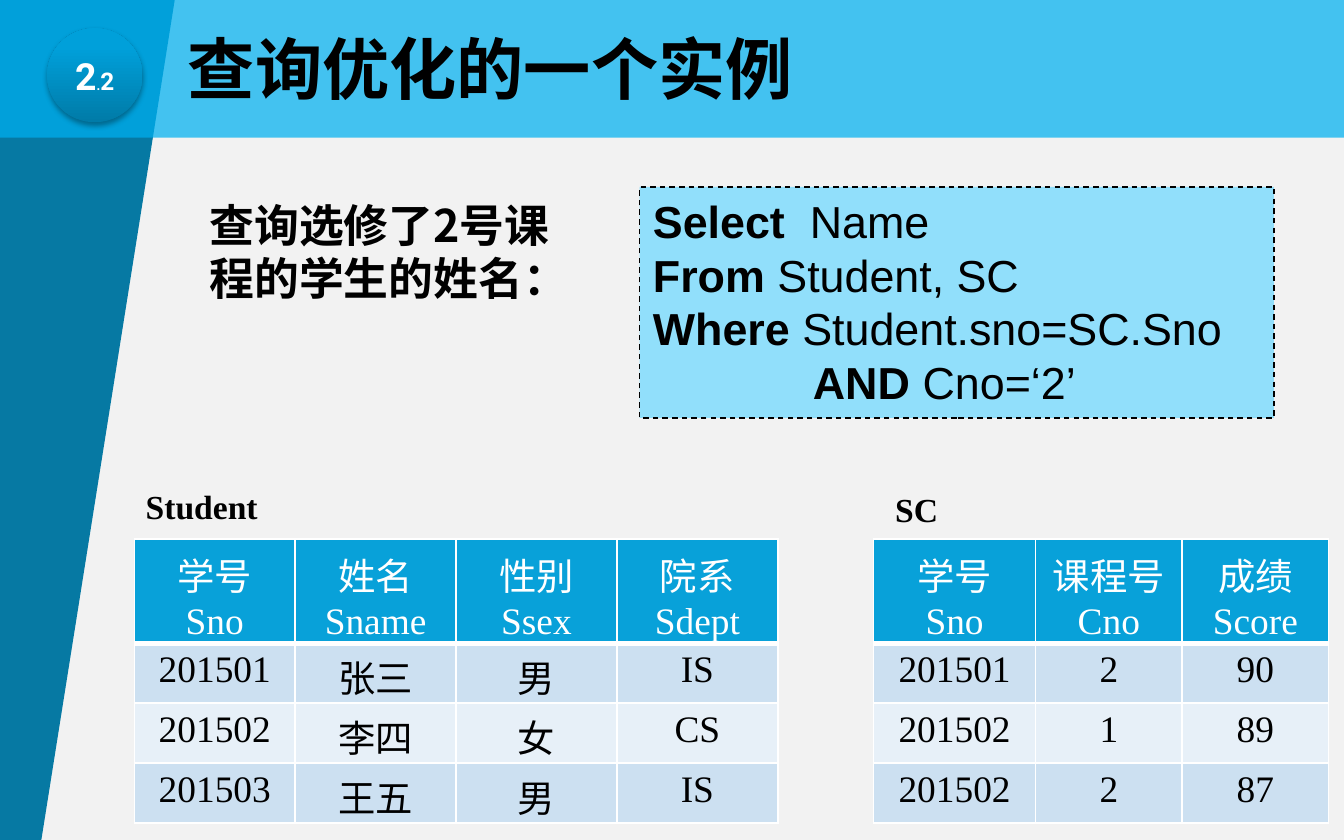
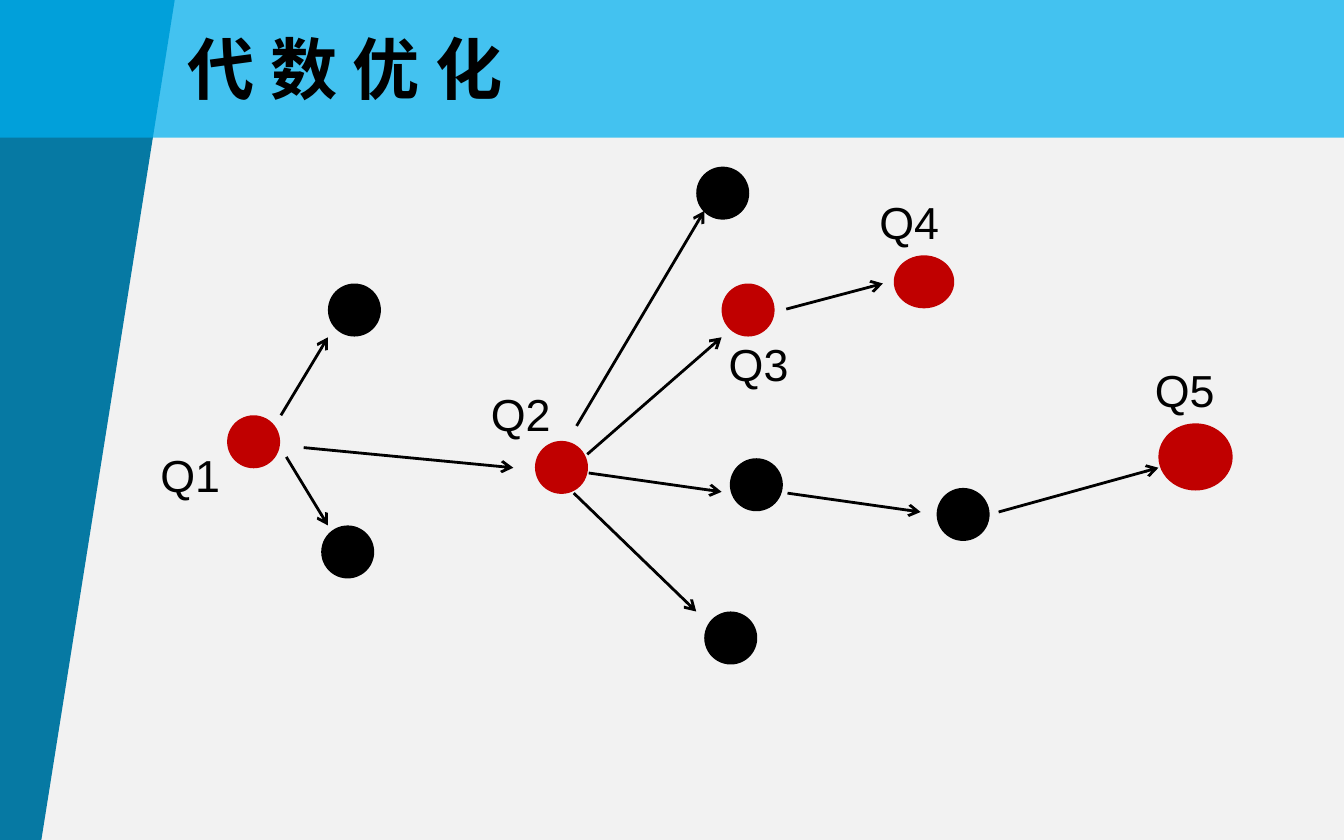
import copy
from dataclasses import dataclass

import lxml.etree
import pptx
import pptx.dml.color
import pptx.enum.dml
import pptx.enum.shapes
import pptx.enum.text
import pptx.oxml.ns
import pptx.util

Pt = pptx.util.Pt
qn = pptx.oxml.ns.qn
SHAPES = pptx.enum.shapes.MSO_SHAPE
ALIGN = pptx.enum.text.PP_ALIGN
ANCHOR = pptx.enum.text.MSO_ANCHOR

COLORS = {
    "background": "F2F2F2", "side": "0679A3", "band": "00B0F0",
    "black": "000000", "white": "FFFFFF", "red": "C00000",
    "code": "91DFFB", "header": "08A1D9", "row_dark": "CCE0F1", "row_light": "E7F0F8",
    "badge_dark": "007BA8", "badge_mid": "00A0DA", "badge_light": "00A0DB",
}
CJK_FONT = "Noto Sans CJK SC"
SERIF = "Times New Roman"


@dataclass
class Run:
    text: str
    bold: bool | None = None
    size: float | None = None


@dataclass
class Box:
    left: float
    top: float
    width: float
    height: float

    def lengths(self) -> list:
        return [Pt(value) for value in (self.left, self.top, self.width, self.height)]


@dataclass
class Node:
    left: float
    top: float
    color: str = "black"
    width: float = 28.4
    height: float = 28.4


@dataclass
class Arrow:
    start: tuple[float, float]
    end: tuple[float, float]


@dataclass
class Label:
    text: str
    left: float
    top: float


@dataclass
class Relation:
    name: str
    name_box: Box
    left: float
    columns: list[float]
    rows: list[list[str]]


def rgb(name: str):
    return pptx.dml.color.RGBColor.from_string(COLORS[name])


# Text
def write(frame, text, *, size=24, font="Arial", color="black", bold=False,
          align=None, anchor=ANCHOR.TOP, wrap=True):
    """Fill a frame; text is a string or a list of lines, each a list of runs."""
    frame.word_wrap = wrap
    frame.vertical_anchor = anchor
    lines = [[Run(line)] for line in text.split("\n")] if isinstance(text, str) else text
    for index, runs in enumerate(lines):
        paragraph = frame.add_paragraph() if index else frame.paragraphs[0]
        paragraph.alignment = align
        for item in runs:
            run = paragraph.add_run()
            run.text = item.text
            run.font.name = font
            run.font.size = Pt(item.size or size)
            run.font.bold = bold if item.bold is None else item.bold
            run.font.color.rgb = rgb(color)
            east_asian = lxml.etree.Element(qn("a:ea"), typeface=CJK_FONT)
            run.font._element.find(qn("a:latin")).addnext(east_asian)


def add_text(slide, box: Box, text, **text_format):
    write(slide.shapes.add_textbox(*box.lengths()).text_frame, text, **text_format)


# Shapes
def add_shape(slide, kind, box: Box, color: str):
    shape = slide.shapes.add_shape(kind, *box.lengths())
    shape.shadow.inherit = False
    shape.fill.solid()
    shape.fill.fore_color.rgb = rgb(color)
    shape.line.fill.background()
    return shape


def add_alpha(color_element, percent: int):
    lxml.etree.SubElement(color_element, qn("a:alpha"), val=str(percent * 1000))


def add_arrow(slide, arrow: Arrow):
    points = [Pt(value) for value in (*arrow.start, *arrow.end)]
    connector = slide.shapes.add_connector(pptx.enum.shapes.MSO_CONNECTOR.STRAIGHT, *points)
    connector.line.width = Pt(1.5)
    connector.line.color.rgb = rgb("black")
    properties = connector._element.spPr
    lxml.etree.SubElement(properties.find(qn("a:ln")), qn("a:tailEnd"), type="arrow")
    lxml.etree.SubElement(properties, qn("a:effectLst"))


def add_badge(slide):
    badge = add_shape(slide, SHAPES.OVAL, Box(25.2, 15.1, 51.1, 50.4), "badge_dark")
    badge.fill.gradient()
    badge.fill.gradient_angle = 90
    stop_list = badge._element.spPr.find(".//" + qn("a:gsLst"))
    stop_list.append(copy.deepcopy(stop_list[0]))
    stops = ((0, "badge_dark"), (0.8, "badge_mid"), (1, "badge_light"))
    for stop, (position, color) in zip(badge.fill.gradient_stops, stops):
        stop.position = position
        stop.color.rgb = rgb(color)
    # Soft shadow below the badge
    effects = badge._element.spPr.find(qn("a:effectLst"))
    shadow = lxml.etree.SubElement(
        effects, qn("a:outerShdw"), blurRad=str(Pt(3.1)), dist=str(Pt(1.8)),
        dir="5400000", algn="t", rotWithShape="0")
    add_alpha(lxml.etree.SubElement(shadow, qn("a:srgbClr"), val=COLORS["black"]), 35)
    write(badge.text_frame, [[Run("2"), Run(".", size=7), Run("2", size=13)]],
          size=20, font="Roboto", color="white", bold=True,
          align=ALIGN.CENTER, anchor=ANCHOR.MIDDLE)


# Tables
def set_borders(cell, bottom: float):
    properties = cell._tc.get_or_add_tcPr()
    for side, width in (("L", 1), ("R", 1), ("T", 1), ("B", bottom)):
        line = lxml.etree.SubElement(properties, qn(f"a:ln{side}"), w=str(Pt(width)))
        fill = lxml.etree.SubElement(line, qn("a:solidFill"))
        lxml.etree.SubElement(fill, qn("a:srgbClr"), val=COLORS["white"])


def add_relation(slide, relation: Relation):
    add_text(slide, relation.name_box, relation.name, size=18, font=SERIF, bold=True,
             align=ALIGN.CENTER, wrap=False)
    heights = [55.9] + [32.1] * (len(relation.rows) - 1)
    box = Box(relation.left, 288.7, sum(relation.columns), sum(heights))
    table = slide.shapes.add_table(len(heights), len(relation.columns), *box.lengths()).table
    for column, width in zip(table.columns, relation.columns):
        column.width = Pt(width)
    for row_index, values in enumerate(relation.rows):
        header = row_index == 0
        table.rows[row_index].height = Pt(heights[row_index])
        fill = "header" if header else ("row_dark" if row_index % 2 else "row_light")
        for column_index, value in enumerate(values):
            cell = table.cell(row_index, column_index)
            set_borders(cell, bottom=3 if header else 1)
            cell.fill.solid()
            cell.fill.fore_color.rgb = rgb(fill)
            cell.margin_left = cell.margin_right = Pt(7.2)
            cell.margin_top = Pt(4.3 if header else 3.1)
            cell.margin_bottom = Pt(0)
            write(cell.text_frame, value, size=20, font=SERIF,
                  color="white" if header else "black", align=ALIGN.CENTER)


# Shared frame: background, slanted side, title band and title
def new_slide(presentation, title: str, title_width: float):
    slide = presentation.slides.add_slide(presentation.slide_layouts[6])
    slide.background.fill.solid()
    slide.background.fill.fore_color.rgb = rgb("background")
    builder = slide.shapes.build_freeform(Pt(-0.7), Pt(453), scale=1.0)
    builder.add_line_segments(
        [(Pt(x), Pt(y)) for x, y in ((0, -0.7), (93.6, 0), (21.6, 453.6))], close=True)
    side = builder.convert_to_shape()
    side.shadow.inherit = False
    side.fill.solid()
    side.fill.fore_color.rgb = rgb("side")
    side.line.fill.background()
    band = add_shape(slide, SHAPES.RECTANGLE, Box(-0.7, 0, 720.7, 73.8), "band")
    add_alpha(band._element.spPr.find(qn("a:solidFill"))[0], 72)
    add_text(slide, Box(93.6, 0, title_width, 72), title, size=36, bold=True,
             anchor=ANCHOR.MIDDLE)
    return slide


QUERY = [
    [Run("Select  ", True), Run("Name")],
    [Run("From ", True), Run("Student, SC")],
    [Run("Where ", True), Run("Student.sno=SC.Sno")],
    [Run("             AND ", True), Run("Cno=‘2’")],
]

RELATIONS = [
    Relation("Student", Box(70.6, 257, 74.9, 28.8), 72, [86.2] * 4, [
        ["学号\nSno", "姓名\nSname", "性别\nSsex", "院系\nSdept"],
        ["201501", "张三", "男", "IS"],
        ["201502", "李四", "女", "CS"],
        ["201503", "王五", "男", "IS"],
    ]),
    Relation("SC", Box(472.3, 258.5, 37.4, 28.8), 468, [86.8, 78.5, 78.5], [
        ["学号\nSno", "课程号\nCno", "成绩\nScore"],
        ["201501", "2", "90"],
        ["201502", "1", "89"],
        ["201502", "2", "87"],
    ]),
]

NODES = [
    Node(121.7, 222.5, "red"), Node(286.6, 236.2, "red"), Node(386.6, 151.9, "red"),
    Node(478.8, 136.8, "red", width=32.4), Node(620.6, 226.8, "red", 39.8, 36),
    Node(175.7, 151.9), Node(172.1, 281.5), Node(391, 245.5),
    Node(377.3, 327.6), Node(373, 89.3), Node(501.8, 261.4),
]

ARROWS = [
    Arrow((150.5, 222.5), (175.7, 180.7)),
    Arrow((162.7, 239.8), (275, 250.6)),
    Arrow((153.4, 244.8), (175.7, 281.5)),
    Arrow((314.6, 243.4), (386.6, 180.7)),
    Arrow((421.2, 165.6), (473, 151.9)),
    Arrow((308.9, 228.2), (377.3, 113)),
    Arrow((315.4, 253.4), (386.6, 263.5)),
    Arrow((307.4, 264.2), (373, 327.6)),
    Arrow((421.9, 264.2), (493.2, 274.3)),
    Arrow((535, 274.3), (620.6, 250.6)),
]

LABELS = [
    Label("Q1", 77.8, 236.2), Label("Q2", 254.9, 203.8), Label("Q3", 382.3, 177.1),
    Label("Q4", 463, 100.8), Label("Q5", 610.6, 190.8),
]


def build_example_slide(presentation):
    slide = new_slide(presentation, "查询优化的一个实例", 339.8)
    add_badge(slide)
    add_text(slide, Box(105.1, 102.2, 209.5, 65.5), "查询选修了2号课程的学生的姓名：",
             font=CJK_FONT, bold=True)
    code = add_shape(slide, SHAPES.RECTANGLE, Box(342.7, 100.1, 339.8, 123.8), "code")
    code.line.color.rgb = rgb("black")
    code.line.width = Pt(0.75)
    code.line.dash_style = pptx.enum.dml.MSO_LINE.DASH
    write(code.text_frame, QUERY, align=ALIGN.LEFT)
    for relation in RELATIONS:
        add_relation(slide, relation)


def build_algebra_slide(presentation):
    slide = new_slide(presentation, "代 数 优 化", 218.2)
    for node in NODES:
        add_shape(slide, SHAPES.OVAL, Box(node.left, node.top, node.width, node.height),
                  node.color)
    for arrow in ARROWS:
        add_arrow(slide, arrow)
    for label in LABELS:
        add_text(slide, Box(label.left, label.top, 48.2, 36), label.text,
                 align=ALIGN.CENTER, wrap=False)


def main():
    presentation = pptx.Presentation()
    presentation.slide_width = Pt(720)
    presentation.slide_height = Pt(450)
    build_example_slide(presentation)
    build_algebra_slide(presentation)
    presentation.save("out.pptx")


if __name__ == "__main__":
    main()
